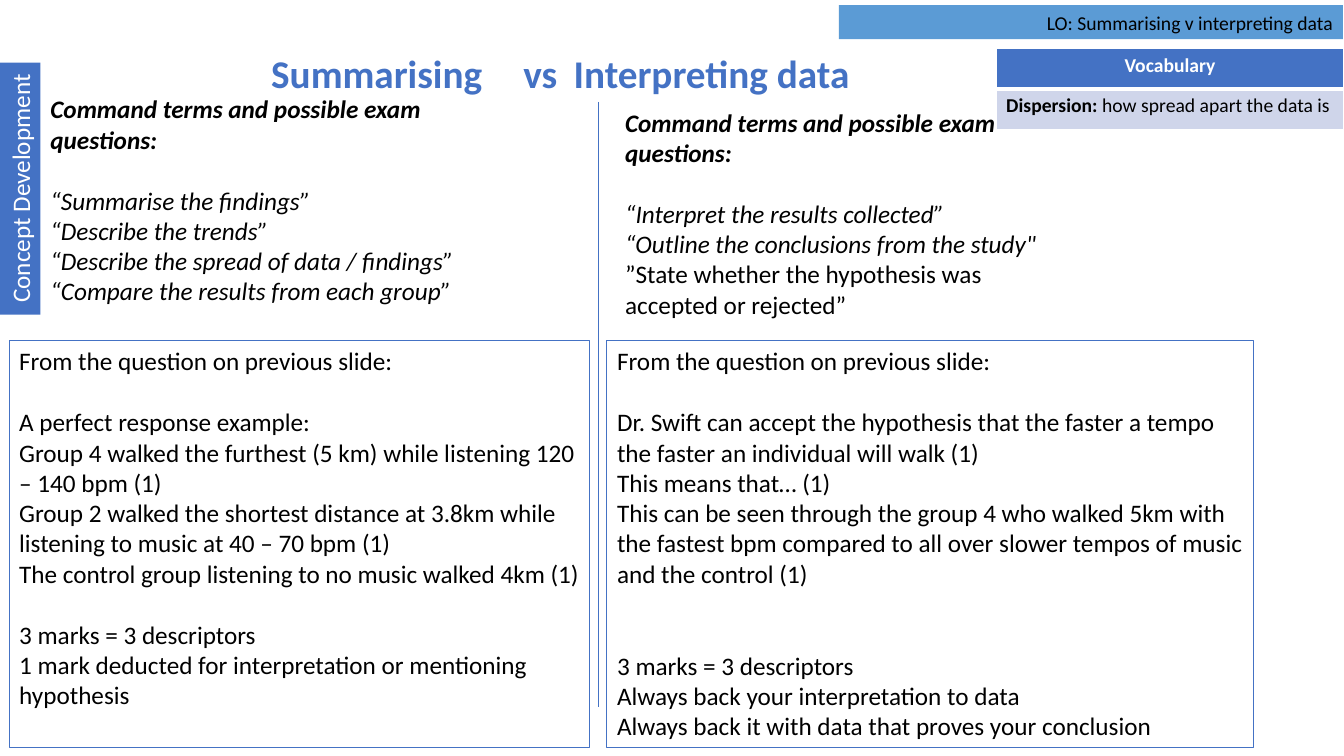
from pptx import Presentation
from pptx.dml.color import RGBColor
from pptx.enum.shapes import MSO_CONNECTOR, MSO_SHAPE
from pptx.enum.text import MSO_ANCHOR, MSO_AUTO_SIZE, PP_ALIGN
from pptx.oxml.ns import qn
from pptx.util import Inches, Pt
from lxml import etree

RECTANGLE = MSO_SHAPE.RECTANGLE
STRAIGHT = MSO_CONNECTOR.STRAIGHT
TOP, MIDDLE = MSO_ANCHOR.TOP, MSO_ANCHOR.MIDDLE
LEFT, CENTER, RIGHT = PP_ALIGN.LEFT, PP_ALIGN.CENTER, PP_ALIGN.RIGHT
NO_AUTOFIT = MSO_AUTO_SIZE.NONE

COLOURS = {"blue": "4472C4", "sky": "5B9BD5", "pale": "CFD5EA", "white": "FFFFFF", "black": "000000"}
LINE_GAP = 22
COMMAND_HEADING = ("Command terms and possible exam questions:", "bi", 0)
EXAMPLE_HEADING = ("From the question on previous slide:", "", 0)
MARKS = ("3 marks = 3 descriptors", "")

SUMMARISING_COMMANDS = [
    COMMAND_HEADING,
    ("“Summarise the findings”", "i", 1),
    ("“Describe the trends”", "i", 0),
    ("“Describe the spread of data / findings”", "i", 0),
    ("“Compare the results from each group”", "i", 0),
]
INTERPRETING_COMMANDS = [
    COMMAND_HEADING,
    ("“Interpret the results collected”", "i", 1),
    ("“Outline the conclusions from the study\"", "i", 0),
    ("”State whether the hypothesis was accepted or rejected”", "", 0),
]
SUMMARISING_EXAMPLE = [
    EXAMPLE_HEADING,
    ("A perfect response example:", "", 1),
    ("Group 4 walked the furthest (5 km) while listening 120 – 140 bpm (1)", "", 0),
    ("Group 2 walked the shortest distance at 3.8km while listening to music at 40 – 70 bpm (1)", "", 0),
    ("The control group listening to no music walked 4km (1)", "", 0),
    (*MARKS, 1),
    ("1 mark deducted for interpretation or mentioning hypothesis", "", 0),
]
INTERPRETING_EXAMPLE = [
    EXAMPLE_HEADING,
    ("Dr. Swift can accept the hypothesis that the faster a tempo the faster an individual will walk (1)", "", 1),
    ("This means that… (1)", "", 0),
    ("This can be seen through the group 4 who walked 5km with the fastest bpm compared to all over "
     "slower tempos of music and the control (1)", "", 0),
    (*MARKS, 2),
    ("Always back your interpretation to data", "", 0),
    ("Always back it with data that proves your conclusion", "", 0),
]


class LessonSlide:
    """Holds the lesson style and the slide being filled."""

    def __init__(self, slide):
        self.slide = slide

    def colour(self, name):
        return RGBColor.from_string(COLOURS[name])

    def style(self, paragraph, size, colour, bold=False, italic=False, align=LEFT):
        paragraph.alignment = align
        paragraph.line_spacing = 1.0
        font = paragraph.font
        font.name, font.size = "Calibri", Pt(size)
        font.bold, font.italic = bold, italic
        font.color.rgb = self.colour(colour)

    def place(self, shape, box):
        shape.left, shape.top, shape.width, shape.height = map(Inches, box)

    def title(self, text, box):
        heading = self.slide.shapes.title
        self.place(heading, box)
        frame = heading.text_frame
        frame.text = text
        frame.word_wrap, frame.auto_size = False, NO_AUTOFIT
        frame.vertical_anchor = TOP
        self.style(frame.paragraphs[0], 28, "blue", bold=True)

    def body(self, index, lines, box, outlined=False):
        body = self.slide.placeholders[index]
        self.place(body, box)
        if outlined:
            body.line.color.rgb = self.colour("blue")
            body.line.width = Pt(0.75)
        frame = body.text_frame
        frame.word_wrap, frame.auto_size = True, NO_AUTOFIT
        frame.vertical_anchor = TOP
        frame.text = "\n".join(text for text, _, _ in lines)
        for paragraph, (_, marks, gap) in zip(frame.paragraphs, lines):
            properties = paragraph._p.get_or_add_pPr()
            properties.set("marL", "0")
            properties.set("indent", "0")
            etree.SubElement(properties, qn("a:buNone"))
            paragraph.space_before = Pt(gap * LINE_GAP)
            self.style(paragraph, 18, "black", "b" in marks, "i" in marks)

    def banner(self, text, box, fill, size, colour, align, rotation=0, wrap=True):
        banner = self.slide.shapes.add_shape(RECTANGLE, *map(Inches, box))
        banner.rotation = rotation
        banner.shadow.inherit = False
        banner.fill.solid()
        banner.fill.fore_color.rgb = self.colour(fill)
        banner.line.fill.background()
        frame = banner.text_frame
        frame.text = text
        frame.word_wrap, frame.vertical_anchor = wrap, MIDDLE
        self.style(frame.paragraphs[0], size, colour, align=align)

    def divider(self, x, top, bottom):
        divider = self.slide.shapes.add_connector(STRAIGHT, *map(Inches, (x, top, x, bottom)))
        divider.line.color.rgb = self.colour("blue")
        divider.line.width = Pt(0.5)
        etree.SubElement(divider._element.spPr, qn("a:effectLst"))

    def cell_borders(self, cell, widths):
        properties = cell._tc.get_or_add_tcPr()
        for position, (side, width) in enumerate(widths.items()):
            border = etree.Element(qn(f"a:ln{side}"), w=str(Pt(width)))
            fill = etree.SubElement(border, qn("a:solidFill"))
            etree.SubElement(fill, qn("a:srgbClr"), val=COLOURS["white"])
            properties.insert(position, border)

    def vocabulary(self, heading, term, meaning, box):
        table = self.slide.shapes.add_table(2, 1, *map(Inches, box)).table
        header, entry = table.cell(0, 0), table.cell(1, 0)
        header.text = heading
        self.style(header.text_frame.paragraphs[0], 14, "white", bold=True, align=CENTER)
        definition = entry.text_frame.paragraphs[0]
        for text, bold in ((term, True), (meaning, False)):
            run = definition.add_run()
            run.text, run.font.bold = text, bold
        self.style(definition, 14, "black")
        for cell, fill, top, bottom in ((header, "blue", 1, 3), (entry, "pale", 3, 1)):
            cell.fill.solid()
            cell.fill.fore_color.rgb = self.colour(fill)
            self.cell_borders(cell, {"L": 1, "R": 1, "T": top, "B": bottom})


def main():
    presentation = Presentation()
    presentation.slide_width, presentation.slide_height = Inches(13.33), Inches(7.5)
    comparison = presentation.slide_layouts[4]
    lesson = LessonSlide(presentation.slides.add_slide(comparison))
    lesson.banner("Concept Development", (-1.05, 1.67, 2.5, 0.4), "blue", 18, "white", CENTER,
                  rotation=270, wrap=False)
    lesson.vocabulary("Vocabulary", "Dispersion: ", "how spread apart the data is", (9.88, 0.48, 3.45, 0.81))
    lesson.banner("LO: Summarising v interpreting data", (8.32, 0.05, 5, 0.34), "sky", 14, "black", RIGHT)
    lesson.title("Summarising \tvs \tInterpreting data", (2.59, 0.44, 7.01, 0.57))
    lesson.body(1, SUMMARISING_COMMANDS, (0.4, 0.88, 4.85, 2.83))
    lesson.body(3, INTERPRETING_COMMANDS, (6.1, 1.01, 4.35, 2.83))
    lesson.divider(5.93, 1.01, 7.01)
    lesson.body(2, SUMMARISING_EXAMPLE, (0.09, 3.38, 5.76, 4.04), outlined=True)
    lesson.body(4, INTERPRETING_EXAMPLE, (6.02, 3.38, 6.41, 4.04), outlined=True)
    presentation.save("out.pptx")


if __name__ == "__main__":
    main()
